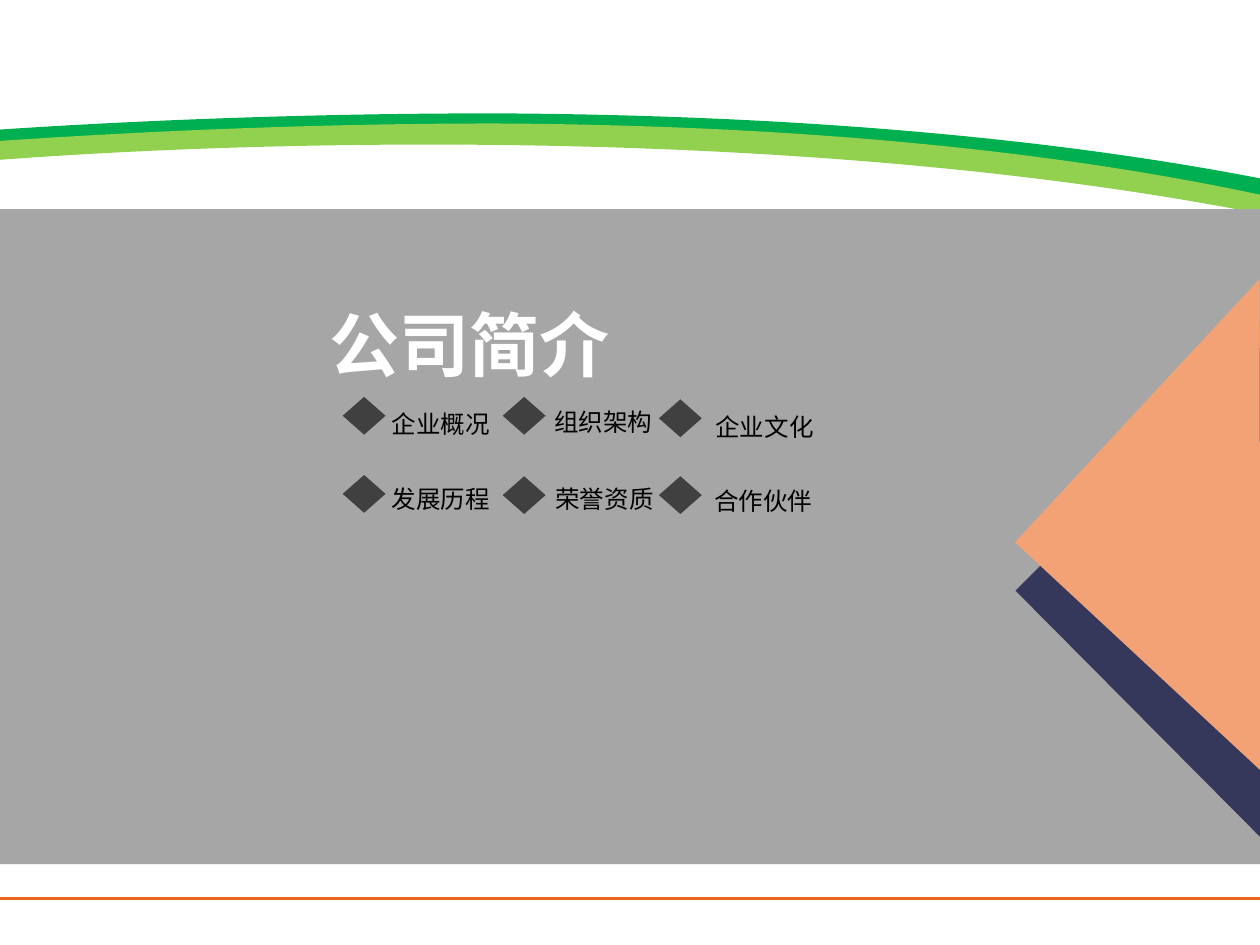
from lxml import etree
from pptx import Presentation
from pptx.dml.color import RGBColor
from pptx.enum.shapes import MSO_CONNECTOR as Link, MSO_SHAPE as Kind
from pptx.enum.text import MSO_AUTO_SIZE as Fit
from pptx.oxml.ns import qn
from pptx.util import Inches, Pt

CJK = "Noto Sans CJK SC"


def color(code):
    return RGBColor.from_string(code)


def paint(shape, code):
    shape.shadow.inherit = False
    shape.fill.solid()
    shape.fill.fore_color.rgb = color(code)
    shape.line.fill.background()


def block(slide, kind, box, code, turn=0):
    shape = slide.shapes.add_shape(kind, *map(Inches, box))
    paint(shape, code)
    shape.rotation = turn


def label(slide, box, text, size, face, code, bold=False):
    frame = slide.shapes.add_textbox(*map(Inches, box)).text_frame
    frame.word_wrap = True
    frame.auto_size = Fit.SHAPE_TO_FIT_TEXT
    frame.text = text
    para = frame.paragraphs[0]
    para.line_spacing = 1.3
    font = para.runs[0].font
    font.size, font.name, font.bold = Pt(size), face, bold
    font.color.rgb = color(code)
    etree.SubElement(font._element, qn("a:ea"), typeface=CJK)


def bend(shape, starts):
    steps = list(shape._element.iter(qn("a:lnTo")))
    for start in starts:
        first, *rest = steps[start:start + 3]
        first.tag = qn("a:cubicBezTo")
        for step in rest:
            first.append(step[0])
            step.getparent().remove(step)


def arc(slide, box, drop, rise, code):
    left, top, width, height = box
    points = [
        (0, rise), (1.04, rise - 0.07), (2.43, 0), (3.95, 0),
        (5.91, 0.01), (8.09, drop), (width, height - 0.15),
        (width, height),
        (6.59, 0), (2.38, 0.11), (0, rise + 0.15),
    ]
    points[8] = (6.59, max(0, height - 0.68))
    spots = [(Inches(left + x), Inches(top + y)) for x, y in points]
    path = slide.shapes.build_freeform(*spots[0], scale=1.0)
    path.add_line_segments(spots[1:], close=True)
    shape = path.convert_to_shape()
    bend(shape, (0, 3, 7))
    paint(shape, code)


def rule(slide, box, code):
    left, top, width = box
    line = slide.shapes.add_connector(
        Link.STRAIGHT, Inches(left), Inches(top), Inches(left + width), Inches(top))
    line.line.color.rgb = color(code)
    line.line.width = Pt(1.5)
    etree.SubElement(line._element.spPr, qn("a:effectLst"))


def frame(slide, box):
    left, top, width = box
    arc(slide, (left - 0.02, top + 0.9, width + 0.04, 0.67), 0.14, 0.13, "00B050")
    arc(slide, (left - 0.02, top + 0.98, width + 0.04, 0.72), 0.15, 0.14, "92D050")
    rule(slide, (left, top + 7.13, width), "EB641B")


def topics(slide, box):
    left, top = box
    items = [
        ("企业概况", 0, 0, 0.29, -0.02, 1.1, 0.38),
        ("组织架构", 1.27, 0, 1.58, -0.04, 1.18, 0.38),
        ("企业文化", 2.51, 0.02, 2.86, 0, 1.1, 0.38),
        ("发展历程", 0, 0.62, 0.29, 0.57, 1.05, 0.41),
        ("荣誉资质", 1.27, 0.63, 1.59, 0.57, 1.18, 0.41),
        ("合作伙伴", 2.51, 0.63, 2.85, 0.59, 1.1, 0.38),
    ]
    for text, dx, dy, x, y, width, height in items:
        label(slide, (left + x, top + y, width, height), text, 14, "Arial", "000000")
    for text, dx, dy, *rest in items:
        block(slide, Kind.DIAMOND, (left + dx, top + dy, 0.34, 0.3), "404040")


def panel(slide, box):
    left, top, width, height = box
    block(slide, Kind.RECTANGLE, box, "A6A6A6")
    label(slide, (left + 2.52, top + 0.48, 3.09, 0.89), "公司简介", 40, CJK, "FFFFFF", True)
    topics(slide, (left + 2.72, top + 1.49))
    edge = left + width
    block(slide, Kind.RIGHT_TRIANGLE, (edge - 1.38, top + 1.68, 2.76, 2.73), "35385A", 45.2)
    block(slide, Kind.RIGHT_TRIANGLE, (edge - 1.33, top + 1.08, 2.66, 2.85), "F3A276", 42.9)


def main():
    deck = Presentation()
    deck.slide_width, deck.slide_height = Inches(10), Inches(7.5)
    slide = deck.slides.add_slide(deck.slide_layouts[6])
    frame(slide, (0, 0, 10))
    panel(slide, (0, 1.66, 10, 5.2))
    deck.save("out.pptx")


if __name__ == "__main__":
    main()
